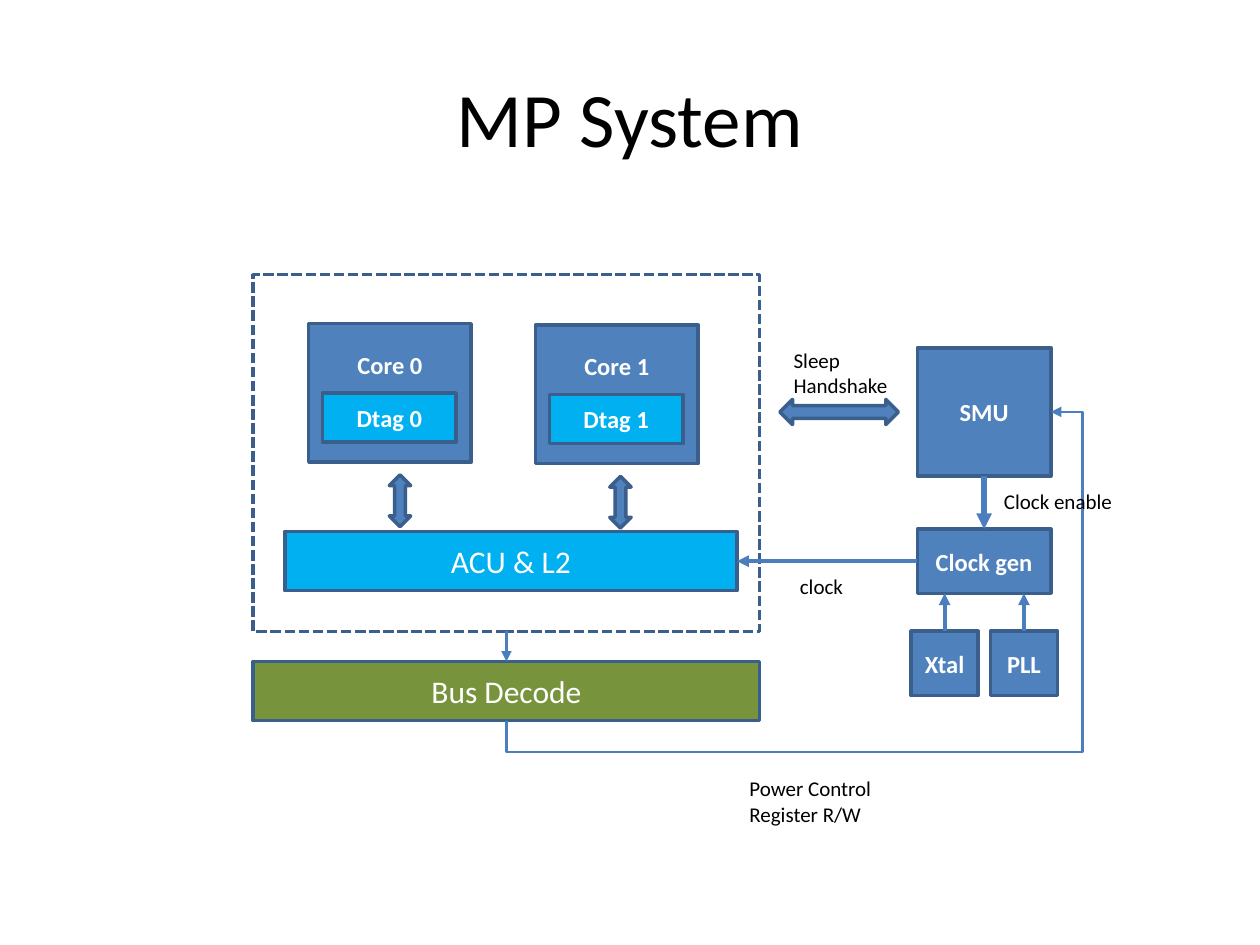
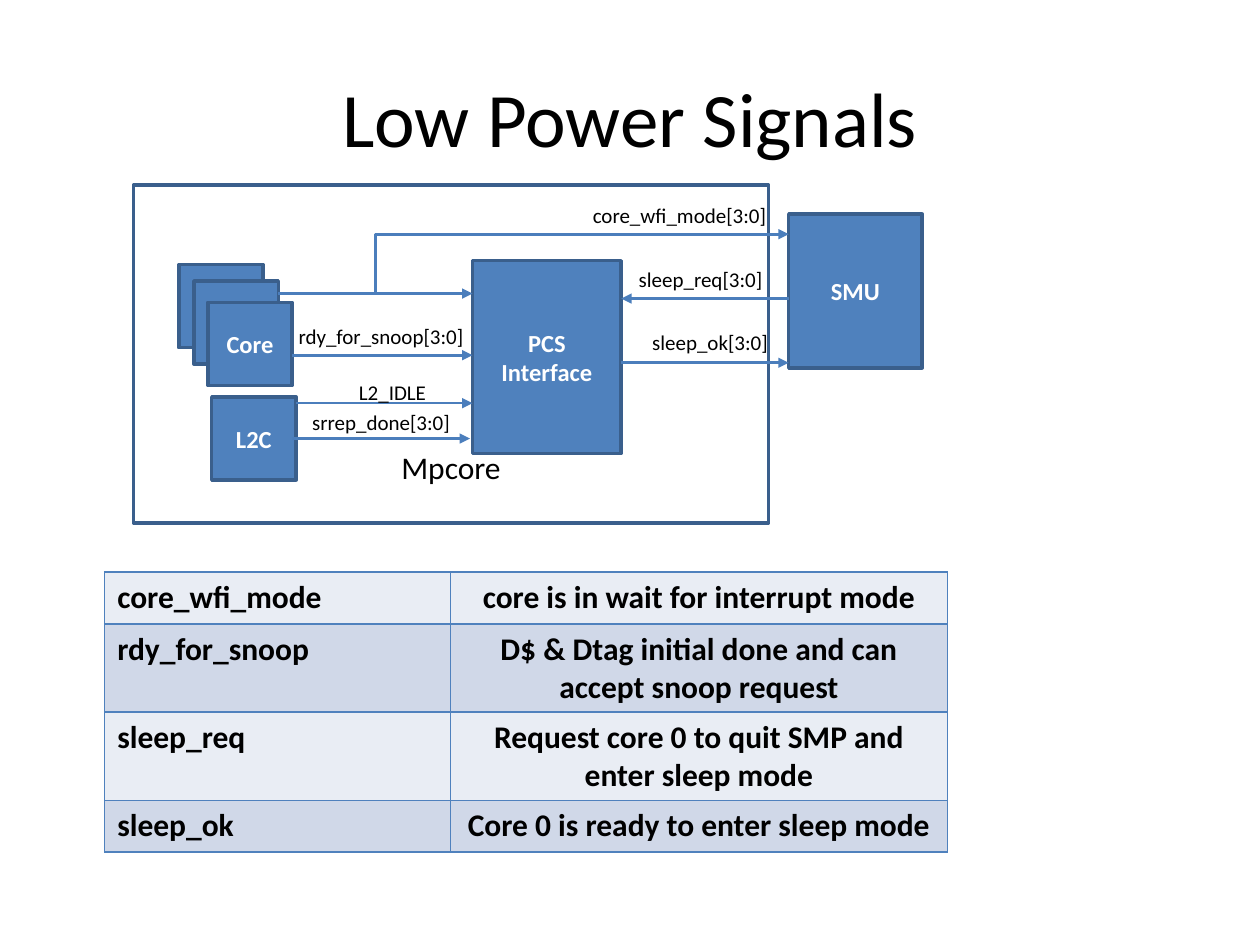
from dataclasses import dataclass
from lxml import etree
from pptx import Presentation
from pptx import util as u
from pptx.dml.color import RGBColor
from pptx.enum import dml, shapes, text
from pptx.oxml import ns

HUES = {"blue": "4F81BD", "edge": "3A5F8C", "wire": "4B7EBC", "cyan": "00B0F0",
        "green": "77933C", "white": "FFFFFF", "black": "000000",
        "pale": "E9EDF4", "band": "D0D8E8"}
FONT = "Calibri"
RECT = shapes.MSO_SHAPE.RECTANGLE
DOUBLE = shapes.MSO_SHAPE.UP_DOWN_ARROW
STRAIGHT, ELBOW = shapes.MSO_CONNECTOR.STRAIGHT, shapes.MSO_CONNECTOR.ELBOW
TOP, LEFT, BOTTOM, RIGHT = range(4)
MID, CENTER = text.MSO_ANCHOR.MIDDLE, text.PP_ALIGN.CENTER
ROWS = [("core_wfi_mode", "core is in wait for interrupt mode", 29.6),
        ("rdy_for_snoop", "D$ & Dtag initial done and can accept snoop request", 50.4),
        ("sleep_req", "Request core 0 to quit SMP and enter sleep mode", 50.4),
        ("sleep_ok", "Core 0 is ready to enter sleep mode", 29.6)]


def hue(name):
    """Return the named colour."""
    return RGBColor.from_string(HUES[name])


def add(parent, tag, **attrs):
    """Append a drawing element to its parent."""
    return etree.SubElement(parent, ns.qn(tag), attrs)


def write(frame, words, size, tint="black", bold=False, align=None):
    """Fill a text frame with one styled paragraph."""
    frame.text = words
    para = frame.paragraphs[0]
    para.alignment = align
    for run in para.runs:
        font = run.font
        font.name, font.size, font.bold = FONT, u.Pt(size), bold
        font.color.rgb = hue(tint)


@dataclass
class Area:
    """Place parts on a page from a given corner."""
    page: object
    x: float
    y: float

    def box(self, x, y, w, h, words="", fill="blue", size=14, bold=True,
            tint="white", kind=RECT):
        """Draw an outlined shape with centred text."""
        shape = self.page.shapes.add_shape(
            kind, u.Pt(self.x + x), u.Pt(self.y + y), u.Pt(w), u.Pt(h))
        shape.shadow.inherit = False
        if fill:
            shape.fill.solid()
            shape.fill.fore_color.rgb = hue(fill)
        else:
            shape.fill.background()
        shape.line.color.rgb = hue("edge")
        shape.line.width = u.Pt(2)
        if words:
            frame = shape.text_frame
            frame.word_wrap, frame.vertical_anchor = True, MID
            write(frame, words, size, tint, bold, CENTER)
        return shape

    def note(self, x, y, w, words, h=21.6, align=None, size=12):
        """Write plain text with no outline."""
        frame = self.page.shapes.add_textbox(
            u.Pt(self.x + x), u.Pt(self.y + y), u.Pt(w), u.Pt(h)).text_frame
        frame.word_wrap = True
        write(frame, words, size, align=align)
        return frame

    def wire(self, start, end, wide=1.5, kind=STRAIGHT):
        """Draw an arrow between points or (shape, side) pairs."""
        loose = [(0, 0) if hasattr(p[0], "shape_id") else
                 (self.x + p[0], self.y + p[1]) for p in (start, end)]
        line = self.page.shapes.add_connector(
            kind, *[u.Pt(n) for spot in loose for n in spot])
        if hasattr(start[0], "shape_id"):
            line.begin_connect(*start)
        if hasattr(end[0], "shape_id"):
            line.end_connect(*end)
        line.line.color.rgb = hue("wire")
        line.line.width = u.Pt(wide)
        add(line.line._get_or_add_ln(), "a:tailEnd", type="triangle")
        add(line._element.spPr, "a:effectLst")
        return line


def bend(line, *folds):
    """Set the fold places of an elbow, in thousandths of a percent."""
    geom = line._element.spPr.find(ns.qn("a:prstGeom"))
    geom.set("prst", f"bentConnector{len(folds) + 2}")
    for old in list(geom):
        geom.remove(old)
    guides = add(geom, "a:avLst")
    for i, fold in enumerate(folds, 1):
        add(guides, "a:gd", name=f"adj{i}", fmla=f"val {fold}")


def turn(line):
    """Turn an elbow a quarter so that it leaves downward."""
    wide, high = line.width, line.height
    line.left += (wide - high) // 2
    line.top += (high - wide) // 2
    line.width, line.height = high, wide
    form = line._element.spPr.find(ns.qn("a:xfrm"))
    for key, value in (("rot", "5400000"), ("flipH", "1"), ("flipV", "1")):
        form.set(key, value)


def title(page, words):
    """Write the slide title."""
    frame = Area(page, 36, 21.6).note(0, 0, 648, words, 90, CENTER, 44)
    frame.vertical_anchor = MID


def cores(page, x, y, w, h):
    """Draw the dashed cluster with two cores and the shared cache."""
    area = Area(page, x, y)
    cache = area.box(18, 146.8, w - 30.9, 33.8, "ACU & L2", "cyan", 18, False)
    for i, (left, top, mid) in enumerate([(31.7, 28, 77.8), (161.3, 28.8, 203.8)]):
        core = area.box(left, top, 92.9, 79.2, f"Core {i}").text_frame
        core.vertical_anchor, core.margin_top = text.MSO_ANCHOR.TOP, u.Pt(15)
        area.box(left + 7.9, top + 39.6, 76.3, 28.1, f"Dtag {i}", "cyan")
        area.box(mid, top + 86.4, 12.2, 29.5, kind=DOUBLE)
    frame = area.box(0, 0, w, h, fill=None)
    frame.line.dash_style = dml.MSO_LINE.SQUARE_DOT
    return frame, cache


def clocks(page, x, y, w):
    """Draw the sleep unit above the clock sources."""
    area = Area(page, x, y)
    unit = area.box(0, 0, w, 73.4, "SMU")
    gen = area.box(0, 103.65, w, 36.7, "Clock gen")
    area.wire((unit, BOTTOM), (gen, TOP), 3)
    for i, name in enumerate(["Xtal", "PLL"]):
        left = 45.3 * i - 3.6
        source = area.box(left, 162, 38.4, 36.7, name)
        area.wire((source, TOP), (left + 19.2, 140.4), 2.25)
    return unit, gen


def system(page):
    """Build the slide of the whole system."""
    title(page, "MP System")
    x, y, w, h = 144.7, 157, 289.4, 203.8
    frame, cache = cores(page, x, y, w, h)
    unit, gen = clocks(page, 524.2, 198.7, 76.3)
    area = Area(page, x, y)
    bus = area.box(0, h + 17.2, w, 33.8, "Bus Decode", "green", 18, False)
    area.wire((frame, BOTTOM), (bus, TOP))
    area.wire((gen, LEFT), (cache, RIGHT), 2.25)
    loop = area.wire((bus, BOTTOM), (unit, RIGHT), kind=ELBOW)
    turn(loop)
    bend(loop, -10200, 105800)
    area.box(327.6, 44.6, 14.4, 67.7, kind=DOUBLE).rotation = 90
    area.note(301.7, 38.1, 68.5, "Sleep Handshake", 36)
    area.note(305.3, 167, 67.7, "clock")
    area.note(276.5, 282.9, 90.7, "Power Control Register R/W", 36)
    area.note(421.9, 118.8, 82.8, "Clock enable")


def links(page, x, y, w, h):
    """Draw the core block and its signals to the sleep unit."""
    area = Area(page, x, y)
    near, port, far, unit = 90.7, 193.7, 278.7, 374.4
    frame = area.box(0, 0, w, h, "Mpcore", None, 18, False, "black").text_frame
    frame.vertical_anchor, frame.margin_bottom = text.MSO_ANCHOR.BOTTOM, u.Pt(21)
    area.box(port, 43.2, far - port, 110.2, "PCS Interface")
    area.box(unit, 16.6, 76.3, 87.8, "SMU")
    for left, top, name in [(25.9, 45.4, ""), (34.6, 54.8, ""),
                            (42.5, 67, "Core"), (44.7, 121, "L2C")]:
        area.box(left, top, 48.2, 47.5, name)
    for start, end, level in [(82.8, port, 62), (near, port, 97.2),
                              (92.9, port, 124.6), (near, port - 1.4, 144.8),
                              (unit, far, 64.8), (far, unit, 101.5)]:
        area.wire((start, level), (end, level))
    bend(area.wire((138.3, 62), (unit, 28.1), kind=ELBOW), 0)
    for left, top, wide, name in [
            (252, 6.5, 120, "core_wfi_mode[3:0]"), (far, 43.2, 90.7, "sleep_req[3:0]"),
            (far, 79.2, 101.5, "sleep_ok[3:0]"), (85, 75.6, 113, "rdy_for_snoop[3:0]"),
            (108, 107.3, 80, "L2_IDLE"), (85, 124.6, 113, "srrep_done[3:0]")]:
        area.note(left, top, wide, name, align=CENTER)


def border(cell):
    """Draw a thin line on each side of a cell."""
    props = cell._tc.get_or_add_tcPr()
    for side in "LRTB":
        line = add(props, f"a:ln{side}", w=str(u.Pt(1)))
        add(add(line, "a:solidFill"), "a:srgbClr", val=HUES["blue"])


def legend(page, x, y, w):
    """Build the table that explains the signals."""
    high = sum(row[2] for row in ROWS)
    table = page.shapes.add_table(
        len(ROWS), 2, u.Pt(x), u.Pt(y), u.Pt(w), u.Pt(high)).table
    table.first_row = table.horz_banding = False
    for col, part in zip(table.columns, (0.41, 0.59)):
        col.width = u.Pt(w * part)
    for i, (name, sense, tall) in enumerate(ROWS):
        table.rows[i].height = u.Pt(tall)
        for j, words in enumerate((name, sense)):
            cell = table.cell(i, j)
            border(cell)
            cell.fill.solid()
            cell.fill.fore_color.rgb = hue("band" if i % 2 else "pale")
            write(cell.text_frame, words, 18, bold=True, align=CENTER if j else None)


def signals(page):
    """Build the slide of the power signals."""
    title(page, "Low Power Signals")
    links(page, 76.3, 105.8, 362.9, 193)
    legend(page, 59.8, 326.9, 481.7)


def main():
    """Build and save the deck."""
    deck = Presentation()
    deck.slide_width, deck.slide_height = u.Pt(720), u.Pt(540)
    for build in (system, signals):
        build(deck.slides.add_slide(deck.slide_layouts[6]))
    deck.save("out.pptx")


if __name__ == "__main__":
    main()
